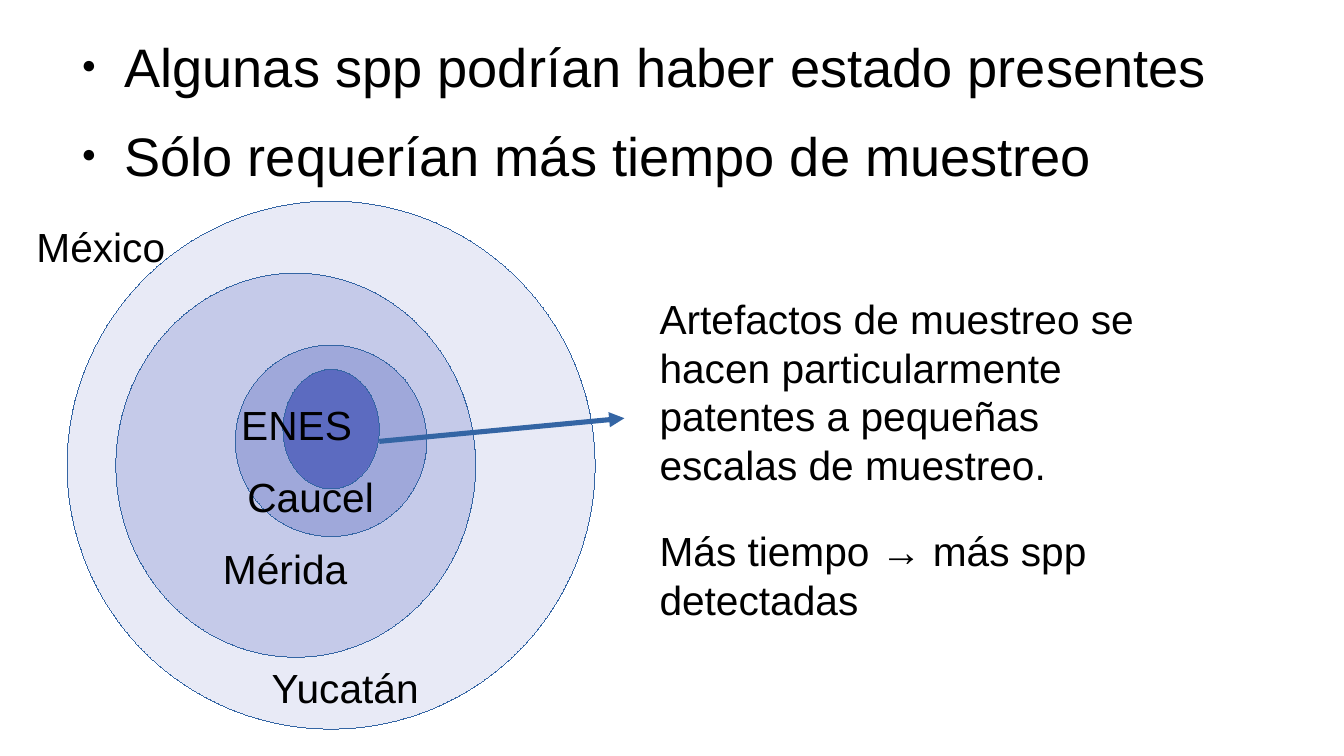
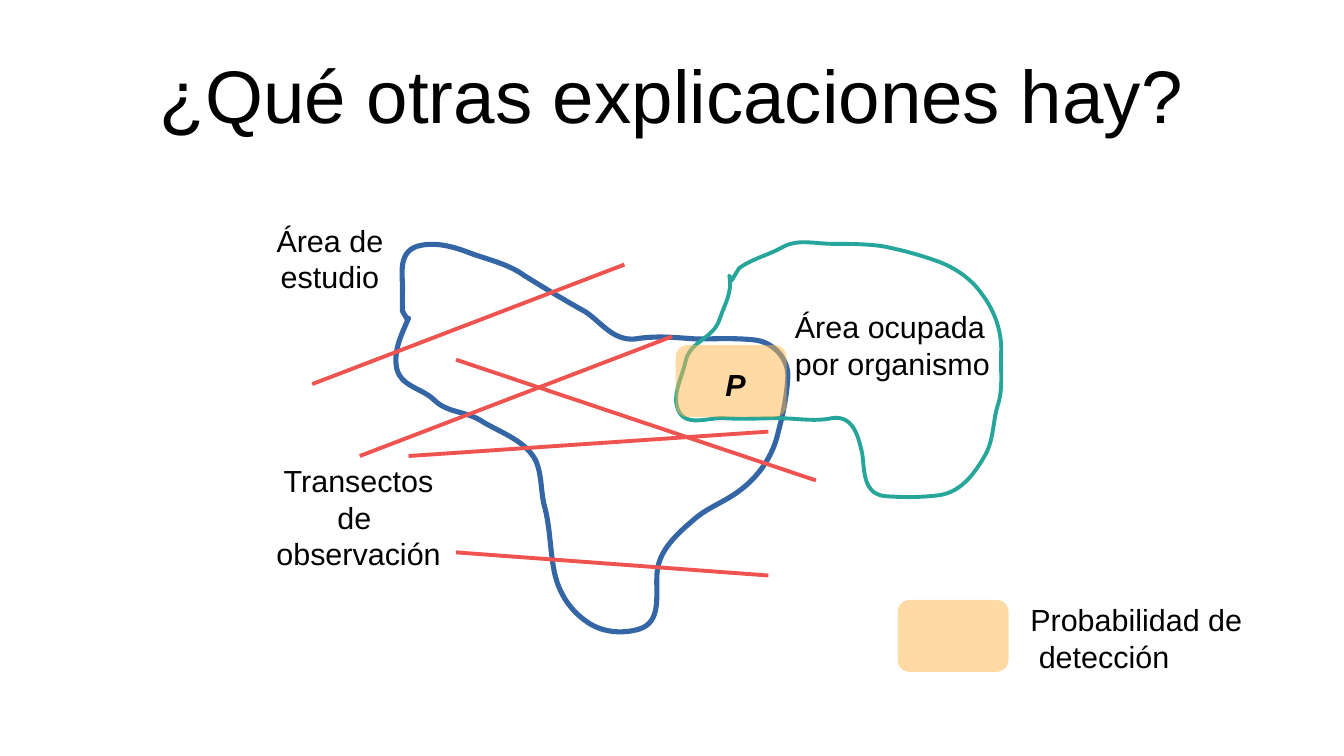
from lxml import etree
from pptx import Presentation
from pptx.dml.color import RGBColor
from pptx.enum.shapes import MSO_CONNECTOR, MSO_SHAPE
from pptx.enum.text import MSO_ANCHOR, MSO_AUTO_SIZE, PP_ALIGN
from pptx.oxml.ns import qn
from pptx.util import Inches, Pt

FONT = "Arial"
BLACK = "000000"
BLUE = "3465A4"
RED = "EF5350"
TEAL = "26A69A"
ORANGE = "FFB74D"
CONTENT_LEFT, CONTENT_WIDTH = 0.55, 9.92
LABEL_MARGINS = (0.1, 0.05)

# Nested areas, relative to the diagram box: left, top, width, height, fill
AREAS = [
    (0.35, 0, 4.33, 4.33, "E8EAF6"),
    (0.75, 0.59, 2.95, 3.15, "C5CAE9"),
    (1.73, 1.18, 1.57, 1.57, "9FA8DA"),
    (2.12, 1.38, 0.79, 0.98, "5C6BC0"),
]
AREA_LABELS = [
    ("México", 0, 0.12, 1.28),
    ("Yucatán", 1.93, 3.74, 1.43),
    ("Mérida", 1.53, 2.76, 1.25),
    ("Caucel", 1.73, 2.17, 1.27),
    ("ENES", 1.68, 1.58, 1.14),
]

# Outlines, relative to the map box: start, Bézier curves, closing points
STUDY_AREA = (
    (1.35, 1.61),
    [
        (1.3, 1.73, 1.23, 1.86, 1.25, 2),
        (1.27, 2.17, 1.46, 2.18, 1.56, 2.28),
        (1.67, 2.39, 1.83, 2.37, 1.96, 2.46),
        (2.11, 2.55, 2.3, 2.61, 2.39, 2.77),
        (2.45, 2.9, 2.43, 3.04, 2.47, 3.17),
        (2.51, 3.33, 2.51, 3.49, 2.54, 3.66),
        (2.57, 3.84, 2.66, 3.99, 2.8, 4.09),
        (2.93, 4.19, 3.1, 4.2, 3.24, 4.16),
        (3.44, 4.1, 3.37, 3.85, 3.39, 3.68),
        (3.41, 3.51, 3.55, 3.38, 3.68, 3.27),
        (3.8, 3.16, 3.94, 3.12, 4.07, 3.02),
        (4.23, 2.9, 4.34, 2.73, 4.38, 2.55),
        (4.42, 2.4, 4.45, 2.26, 4.46, 2.1),
        (4.47, 1.94, 4.34, 1.81, 4.2, 1.79),
        (4.04, 1.77, 3.87, 1.78, 3.71, 1.78),
        (3.55, 1.77, 3.38, 1.75, 3.21, 1.78),
        (3.01, 1.8, 2.91, 1.61, 2.77, 1.54),
        (2.61, 1.45, 2.46, 1.36, 2.3, 1.26),
        (2.16, 1.16, 2, 1.13, 1.84, 1.07),
        (1.71, 1.02, 1.56, 0.98, 1.42, 1.02),
        (1.25, 1.08, 1.31, 1.27, 1.3, 1.41),
    ],
    [(1.3, 1.55), (1.34, 1.62)],
)
OCCUPIED_AREA = (
    (3.98, 1.26),
    [
        (4.01, 1.39, 3.94, 1.5, 3.9, 1.62),
        (3.85, 1.78, 3.65, 1.8, 3.62, 1.97),
        (3.59, 2.1, 3.51, 2.24, 3.56, 2.36),
        (3.62, 2.51, 3.81, 2.42, 3.94, 2.43),
        (4.09, 2.44, 4.24, 2.43, 4.38, 2.43),
        (4.53, 2.43, 4.68, 2.46, 4.82, 2.43),
        (5, 2.4, 5.04, 2.59, 5.07, 2.72),
        (5.09, 2.85, 5.07, 3.06, 5.27, 3.07),
        (5.41, 3.08, 5.56, 3.08, 5.71, 3.06),
        (5.89, 3.03, 6, 2.87, 6.08, 2.73),
        (6.15, 2.6, 6.14, 2.46, 6.18, 2.33),
        (6.23, 2.18, 6.2, 2.02, 6.21, 1.87),
        (6.21, 1.7, 6.15, 1.54, 6.05, 1.41),
        (5.96, 1.28, 5.82, 1.19, 5.68, 1.14),
        (5.54, 1.09, 5.39, 1.05, 5.24, 1.02),
        (5.1, 1, 4.96, 1, 4.82, 1),
        (4.69, 1, 4.55, 0.96, 4.43, 1.02),
        (4.31, 1.09, 4.17, 1.12, 4.06, 1.2),
    ],
    [(4, 1.3)],
)
TRANSECTS = [
    (0.56, 2.15, 3.12, 1.17),
    (0.95, 2.74, 3.51, 1.76),
    (1.35, 2.74, 4.3, 2.54),
    (1.74, 1.95, 4.69, 2.94),
    (1.74, 3.53, 4.3, 3.72),
]


def color(value):
    return RGBColor.from_string(value)


def add_text(slide, box, paragraphs, size=18, bold=None, italic=None,
             align=PP_ALIGN.LEFT, anchor=MSO_ANCHOR.TOP, margins=LABEL_MARGINS,
             wrap=False, grow=True, space_before=0, bullet=False):
    """Place one paragraph for each string in paragraphs."""
    shape = slide.shapes.add_textbox(*map(Inches, box))
    frame = shape.text_frame
    frame.word_wrap = wrap
    frame.auto_size = MSO_AUTO_SIZE.SHAPE_TO_FIT_TEXT if grow else MSO_AUTO_SIZE.NONE
    frame.vertical_anchor = anchor
    frame.margin_left = frame.margin_right = Inches(margins[0])
    frame.margin_top = frame.margin_bottom = Inches(margins[1])
    for index, text in enumerate(paragraphs):
        paragraph = frame.add_paragraph() if index else frame.paragraphs[0]
        paragraph.alignment = align
        if space_before and (index or bullet):
            paragraph.space_before = Pt(space_before)
        if bullet:
            add_bullet(paragraph)
        run = paragraph.add_run()
        run.text = text
        run.font.name = FONT
        run.font.size = Pt(size)
        run.font.bold = bold
        run.font.italic = italic
        run.font.color.rgb = color(BLACK)


def add_bullet(paragraph):
    properties = paragraph._p.get_or_add_pPr()
    properties.set("marL", str(Inches(0.47)))
    properties.set("indent", str(Inches(-0.35)))
    bullet_color = etree.SubElement(properties, qn("a:buClr"))
    etree.SubElement(bullet_color, qn("a:srgbClr"), val=BLACK)
    etree.SubElement(properties, qn("a:buSzPct"), val="45000")
    etree.SubElement(properties, qn("a:buFont"), typeface=FONT)
    etree.SubElement(properties, qn("a:buChar"), char="●")


def add_filled(slide, kind, box, fill, hairline=None, opacity=None):
    shape = slide.shapes.add_shape(kind, *map(Inches, box))
    shape.shadow.inherit = False
    shape.fill.solid()
    shape.fill.fore_color.rgb = color(fill)
    properties = shape._element.spPr
    if opacity is not None:
        fill_color = properties.find(qn("a:solidFill")).find(qn("a:srgbClr"))
        etree.SubElement(fill_color, qn("a:alpha"), val=str(opacity * 1000))
    if hairline:
        shape.line.color.rgb = color(hairline)
        # A zero width has to be written out to override the theme's line
        properties.find(qn("a:ln")).set("w", "0")
    else:
        shape.line.fill.background()


def add_line(slide, ends, line, width, arrow=False):
    connector = slide.shapes.add_connector(MSO_CONNECTOR.STRAIGHT, *map(Inches, ends))
    connector.line.color.rgb = color(line)
    connector.line.width = Pt(width)
    properties = connector._element.spPr
    if arrow:
        etree.SubElement(properties.find(qn("a:ln")), qn("a:tailEnd"), type="triangle")
    etree.SubElement(properties, qn("a:effectLst"))


def bend_segments(shape, curve_count):
    """Join each three leading line segments into one Bézier curve."""
    segments = list(shape._element.iter(qn("a:lnTo")))
    for first in range(0, 3 * curve_count, 3):
        group = segments[first:first + 3]
        curve = etree.Element(qn("a:cubicBezTo"))
        group[0].addprevious(curve)
        for segment in group:
            curve.append(segment[0])
            segment.getparent().remove(segment)


def add_outline(slide, left, top, outline, line, width):
    start, curves, closing = outline
    controls = [curve[i:i + 2] for curve in curves for i in (0, 2, 4)]
    points = [(Inches(left + x), Inches(top + y)) for x, y in [start, *controls, *closing]]
    builder = slide.shapes.build_freeform(*points[0], scale=1.0)
    builder.add_line_segments(points[1:], close=True)
    shape = builder.convert_to_shape()
    bend_segments(shape, len(curves))
    shape.shadow.inherit = False
    shape.fill.background()
    shape.line.color.rgb = color(line)
    shape.line.width = Pt(width)


def add_nested_areas(slide, left, top):
    for x, y, width, height, fill in AREAS:
        add_filled(slide, MSO_SHAPE.OVAL, (left + x, top + y, width, height), fill,
                   hairline=BLUE)
    for name, x, y, width in AREA_LABELS:
        add_text(slide, (left + x, top + y, width, 0.47), [name], size=24)
    add_line(slide, (left + 2.91, top + 1.97, left + 4.92, top + 1.78), BLUE, 3, arrow=True)


def add_detection_box(slide, left, top):
    add_filled(slide, MSO_SHAPE.ROUNDED_RECTANGLE, (left, top, 0.91, 0.59), ORANGE, opacity=50)


def add_survey_map(slide, left, top):
    # Study area, transects and occupied area
    add_outline(slide, left, top, STUDY_AREA, BLUE, 3)
    for x1, y1, x2, y2 in TRANSECTS:
        add_line(slide, (left + x1, top + y1, left + x2, top + y2), RED, 2.3)
    add_outline(slide, left, top, OCCUPIED_AREA, TEAL, 2.3)
    # Overlap and labels
    add_detection_box(slide, left + 3.54, top + 1.83)
    add_text(slide, (left + 4.42, top + 1.48, 1.83, 0.66), ["Área ocupada", "por organismo"])
    add_text(slide, (left + 0.15, top + 0.77, 1.11, 0.66), ["Área de", "estudio"],
             align=PP_ALIGN.CENTER)
    add_text(slide, (left + 0.15, top + 2.74, 1.58, 0.94),
             ["Transectos", "de ", "observación"], align=PP_ALIGN.CENTER)
    add_text(slide, (left + 3.85, top + 1.95, 0.38, 0.38), ["P"], bold=True, italic=True)


def add_legend(slide, left, top):
    add_detection_box(slide, left, top + 0.04)
    add_text(slide, (left + 0.99, top, 1.97, 0.66), ["Probabilidad de", " detección"])


def build_scale_slide(slide):
    add_text(slide, (CONTENT_LEFT, 0.27, CONTENT_WIDTH, 3.6),
             ["Algunas spp podrían haber estado presentes",
              "Sólo requerían más tiempo de muestreo"],
             size=32, margins=(0, 0), wrap=True, grow=False, space_before=14.2, bullet=True)
    add_nested_areas(slide, 0.2, 1.65)
    add_text(slide, (5.31, 2.36, 4.33, 2.61),
             ["Artefactos de muestreo se hacen particularmente patentes a pequeñas "
              "escalas de muestreo.",
              "Más tiempo → más spp detectadas"],
             size=24, wrap=True, space_before=22)


def build_detection_slide(slide):
    add_text(slide, (CONTENT_LEFT, 0.25, CONTENT_WIDTH, 1.04),
             ["¿Qué otras explicaciones hay?"], size=44, align=PP_ALIGN.CENTER,
             anchor=MSO_ANCHOR.MIDDLE, margins=(0, 0), wrap=True, grow=False)
    add_survey_map(slide, 2, 1)
    add_legend(slide, 7.36, 4.88)


def main():
    presentation = Presentation()
    presentation.slide_width = Inches(11.02)
    presentation.slide_height = Inches(6.2)
    blank = presentation.slide_layouts[6]
    for build in (build_scale_slide, build_detection_slide):
        build(presentation.slides.add_slide(blank))
    presentation.save("out.pptx")


if __name__ == "__main__":
    main()
